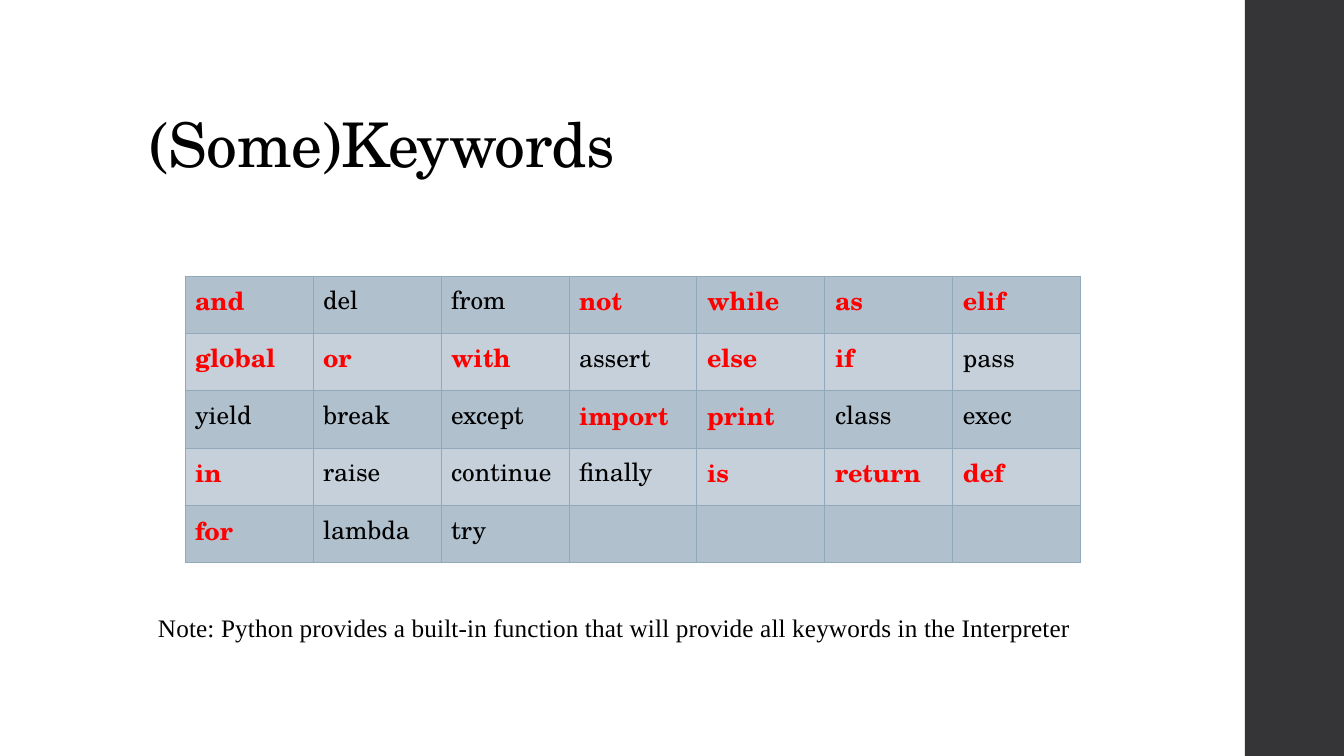
import pptx
import pptx.util
import pptx.dml.color
import pptx.enum.shapes
import pptx.enum.text
import pptx.oxml
import pptx.oxml.ns

TITLE = "(Some)Keywords"
NOTE = "Note: Python provides a built-in function that will provide all keywords in the Interpreter"
WORDS = [
    ["and", "del", "from", "not", "while", "as", "elif"],
    ["global", "or", "with", "assert", "else", "if", "pass"],
    ["yield", "break", "except", "import", "print", "class", "exec"],
    ["in", "raise", "continue", "finally", "is", "return", "def"],
    ["for", "lambda", "try", "", "", "", ""],
]
BOLD = {"and", "not", "while", "as", "elif", "global", "or", "with", "else", "if",
        "import", "print", "in", "is", "return", "def", "for"}
COLORS = {"text": "000000", "key": "FF0000", "bar": "353537", "page": "FFFFFF",
          "line": "92A9B9", "dark": "B1C0CD", "light": "C5D0DA"}
SERIF, ROMAN = "TeX Gyre Schola", "Times New Roman"
PX = 914400 / 100.8
WIDE, HIGH = 1344, 756
BAR = (1245, 0, 99, HIGH)
HEAD = (139, 40, 1068, 146)
FOOT = (158, 612, 951, 40)
LEFT, TOP, COL, GRID = 185, 276, 128, 287


def emu(px):
    return round(px * PX)


def rgb(name):
    return pptx.dml.color.RGBColor.from_string(COLORS[name])


def paint(fill, name):
    fill.solid()
    fill.fore_color.rgb = rgb(name)


def place(shape, box):
    shape.left, shape.top, shape.width, shape.height = map(emu, box)


def write(par, text, size, font, color="text", bold=False, gap=0):
    par.alignment = pptx.enum.text.PP_ALIGN.LEFT
    run = par.add_run()
    run.text = text
    run.font.size = pptx.util.Pt(size)
    run.font.name = font
    run.font.bold = bold
    run.font.color.rgb = rgb(color)
    if gap:
        run.font._element.set("spc", str(gap))


def edge(cell):
    props = cell._tc.get_or_add_tcPr()
    for side in ("lnL", "lnR", "lnT", "lnB"):
        props.append(pptx.oxml.parse_xml(
            f'<a:{side} {pptx.oxml.ns.nsdecls("a")} w="9525"><a:solidFill>'
            f'<a:srgbClr val="{COLORS["line"]}"/></a:solidFill></a:{side}>'))


def main():
    deck = pptx.Presentation()
    deck.slide_width, deck.slide_height = emu(WIDE), emu(HIGH)
    slide = deck.slides.add_slide(deck.slide_layouts[1])
    shapes = slide.shapes
    paint(slide.background.fill, "page")

    bar = shapes.add_shape(pptx.enum.shapes.MSO_SHAPE.RECTANGLE, *map(emu, BAR))
    bar.shadow.inherit = False
    paint(bar.fill, "bar")
    bar.line.fill.background()

    title = shapes.title
    place(title, HEAD)
    frame = title.text_frame
    frame.auto_size = pptx.enum.text.MSO_AUTO_SIZE.NONE
    frame.vertical_anchor = pptx.enum.text.MSO_ANCHOR.BOTTOM
    frame.paragraphs[0].line_spacing = 0.9
    write(frame.paragraphs[0], TITLE, 44, SERIF, gap=-50)

    note = slide.placeholders[1]
    place(note, FOOT)
    paint(note.fill, "page")
    frame = note.text_frame
    frame.margin_left = frame.margin_top = frame.margin_right = 0
    frame.margin_bottom = emu(10)
    frame.auto_size = pptx.enum.text.MSO_AUTO_SIZE.SHAPE_TO_FIT_TEXT
    frame.vertical_anchor = pptx.enum.text.MSO_ANCHOR.MIDDLE
    par = frame.paragraphs[0]
    par.space_before = pptx.util.Pt(0)
    props = par._p.get_or_add_pPr()
    props.set("marL", "0")
    props.set("indent", "0")
    props.append(pptx.oxml.parse_xml(f'<a:buNone {pptx.oxml.ns.nsdecls("a")}/>'))
    write(par, NOTE, 18, ROMAN, gap=10)

    rows, cols = len(WORDS), len(WORDS[0])
    table = shapes.add_table(rows, cols, emu(LEFT), emu(TOP), emu(COL * cols), emu(GRID)).table
    table.first_row = table.horz_banding = False
    for r, line in enumerate(WORDS):
        for c, word in enumerate(line):
            cell = table.cell(r, c)
            edge(cell)
            paint(cell.fill, "light" if r % 2 else "dark")
            if word:
                key = word in BOLD
                write(cell.text_frame.paragraphs[0], word, 18, SERIF,
                      "key" if key else "text", key)

    deck.save("out.pptx")


if __name__ == "__main__":
    main()
